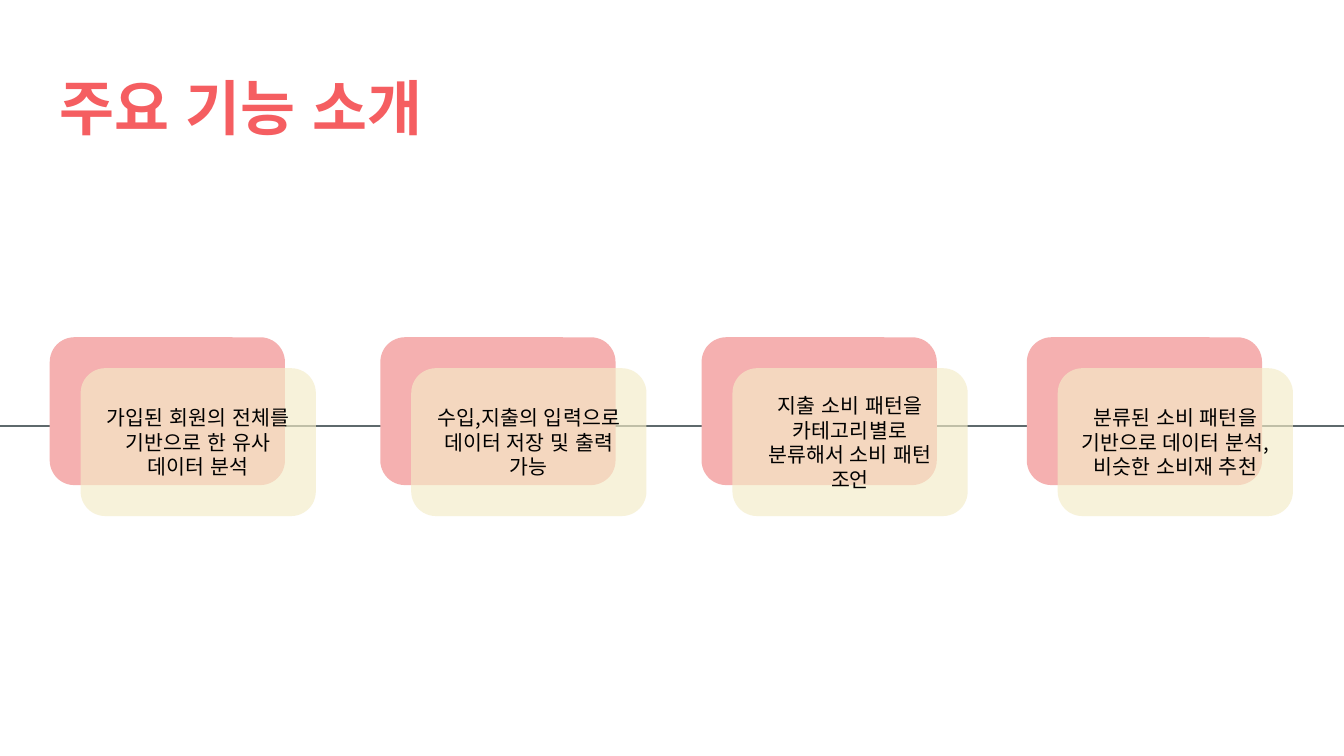
from dataclasses import dataclass

from lxml.etree import SubElement
from pptx import Presentation
from pptx.dml.color import RGBColor
from pptx.enum.shapes import MSO_CONNECTOR, MSO_SHAPE
from pptx.enum.text import MSO_ANCHOR, PP_ALIGN
from pptx.oxml.ns import qn
from pptx.shapes.autoshape import Shape
from pptx.slide import Slide
from pptx.text.text import TextFrame
from pptx.util import Inches, Pt


@dataclass(frozen=True)
class TextStyle:
    font_name: str
    size: int
    color: RGBColor
    alignment: PP_ALIGN
    anchor: MSO_ANCHOR
    bold: bool = False


@dataclass(frozen=True)
class Theme:
    back_color: RGBColor = RGBColor(0xF5, 0xB0, 0xB0)
    front_color: RGBColor = RGBColor(0xF4, 0xEC, 0xC7)
    front_opacity: int = 66
    line_color: RGBColor = RGBColor(0x5E, 0x69, 0x6C)
    east_asian_font: str = "Arial"
    title: TextStyle = TextStyle("TeX Gyre Pagella", 32, RGBColor(0xF5, 0x5E, 0x61),
                                 PP_ALIGN.LEFT, MSO_ANCHOR.TOP, bold=True)
    body: TextStyle = TextStyle("Noto Sans CJK KR", 11, RGBColor(0, 0, 0),
                                PP_ALIGN.CENTER, MSO_ANCHOR.MIDDLE)


@dataclass(frozen=True)
class Feature:
    left: float
    text: str


THEME = Theme()
SLIDE_WIDTH = 10
SLIDE_HEIGHT = SLIDE_WIDTH * 9 / 16
LINE_TOP = 3.17
CARD_TOP = 2.51
CARD_WIDTH = 1.75
CARD_HEIGHT = 1.1
CARD_OFFSET = 0.23
FEATURES = [
    Feature(0.37, "가입된 회원의 전체를 기반으로 한 유사 데이터 분석"),
    Feature(2.83, "수입,지출의 입력으로 데이터 저장 및 출력 가능"),
    Feature(5.22, "지출 소비 패턴을 카테고리별로 분류해서 소비 패턴 조언"),
    Feature(7.64, "분류된 소비 패턴을 기반으로 데이터 분석, 비슷한 소비재 추천"),
]


def write_text(text_frame: TextFrame, text: str, style: TextStyle) -> None:
    text_frame.word_wrap = True
    text_frame.vertical_anchor = style.anchor
    text_frame.margin_left = text_frame.margin_right = Inches(0.1)
    text_frame.margin_top = text_frame.margin_bottom = Inches(0.1)
    text_frame.text = text
    paragraph = text_frame.paragraphs[0]
    paragraph.alignment = style.alignment
    font = paragraph.runs[0].font
    font.name = style.font_name
    font.size = Pt(style.size)
    font.bold = style.bold
    font.color.rgb = style.color
    SubElement(font._element, qn("a:ea")).set("typeface", THEME.east_asian_font)


def add_title(slide: Slide, text: str) -> None:
    title = slide.shapes.title
    title.left, title.top = Inches(0.34), Inches(0.43)
    title.width, title.height = Inches(9.32), Inches(0.68)
    write_text(title.text_frame, text, THEME.title)


def add_timeline(slide: Slide) -> None:
    line = slide.shapes.add_connector(
        MSO_CONNECTOR.STRAIGHT, Inches(-0.01), Inches(LINE_TOP),
        Inches(SLIDE_WIDTH), Inches(LINE_TOP))
    line.line.color.rgb = THEME.line_color
    line.line.width = Pt(1.5)
    SubElement(line._element.spPr, qn("a:effectLst"))


def add_card(slide: Slide, left: float, top: float, color: RGBColor) -> Shape:
    card = slide.shapes.add_shape(
        MSO_SHAPE.ROUNDED_RECTANGLE, Inches(left), Inches(top),
        Inches(CARD_WIDTH), Inches(CARD_HEIGHT))
    card.shadow.inherit = False
    card.fill.solid()
    card.fill.fore_color.rgb = color
    card.line.fill.background()
    return card


def add_feature(slide: Slide, feature: Feature) -> None:
    add_card(slide, feature.left, CARD_TOP, THEME.back_color)
    front = add_card(slide, feature.left + CARD_OFFSET, CARD_TOP + CARD_OFFSET,
                     THEME.front_color)
    color_element = front._element.spPr.find(qn("a:solidFill"))[0]
    SubElement(color_element, qn("a:alpha")).set("val", str(THEME.front_opacity * 1000))
    write_text(front.text_frame, feature.text, THEME.body)


def main() -> None:
    presentation = Presentation()
    presentation.slide_width = Inches(SLIDE_WIDTH)
    presentation.slide_height = Inches(SLIDE_HEIGHT)
    slide = presentation.slides.add_slide(presentation.slide_layouts[5])
    add_title(slide, "주요 기능 소개")
    add_timeline(slide)
    for feature in FEATURES:
        add_feature(slide, feature)
    presentation.save("out.pptx")


if __name__ == "__main__":
    main()
